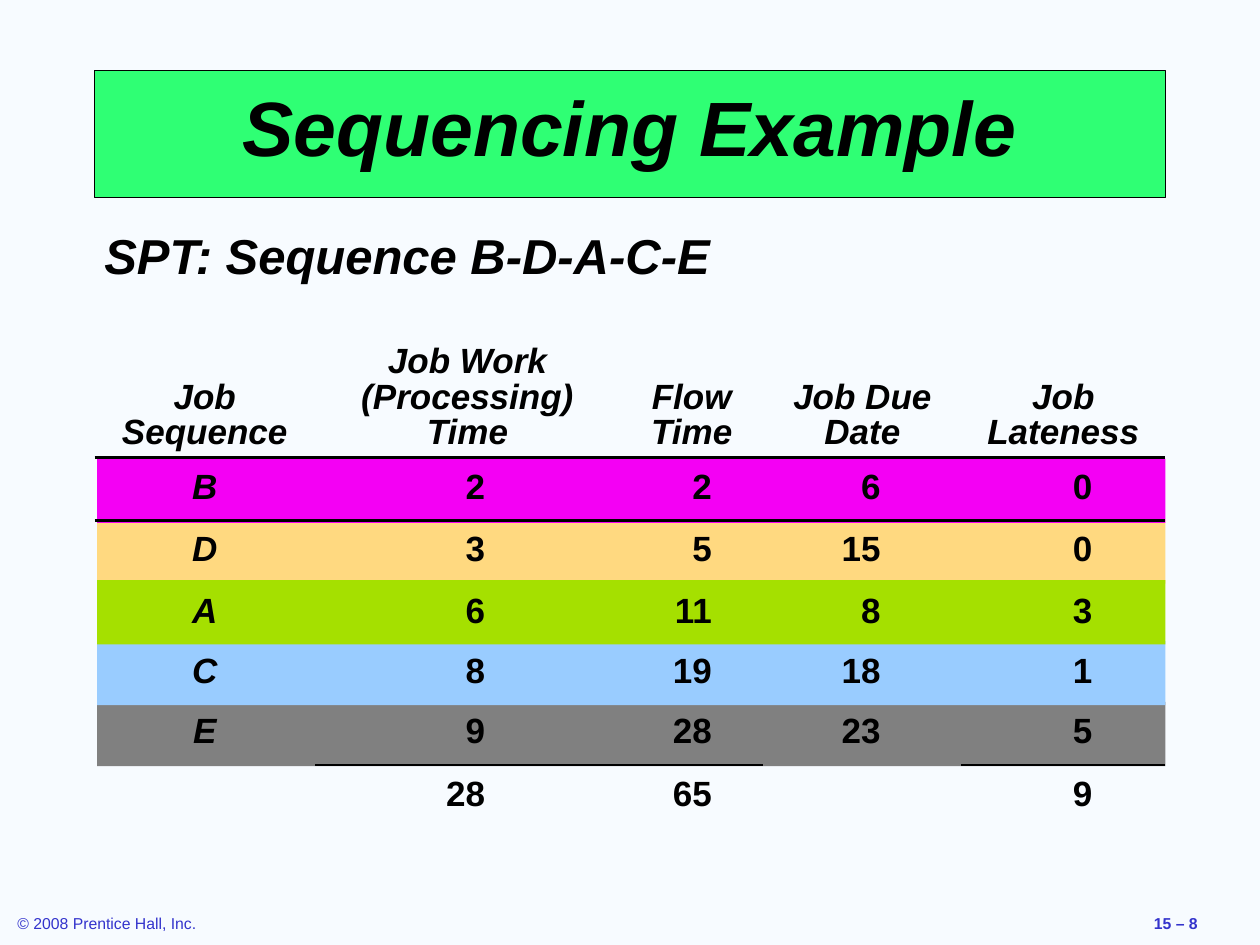
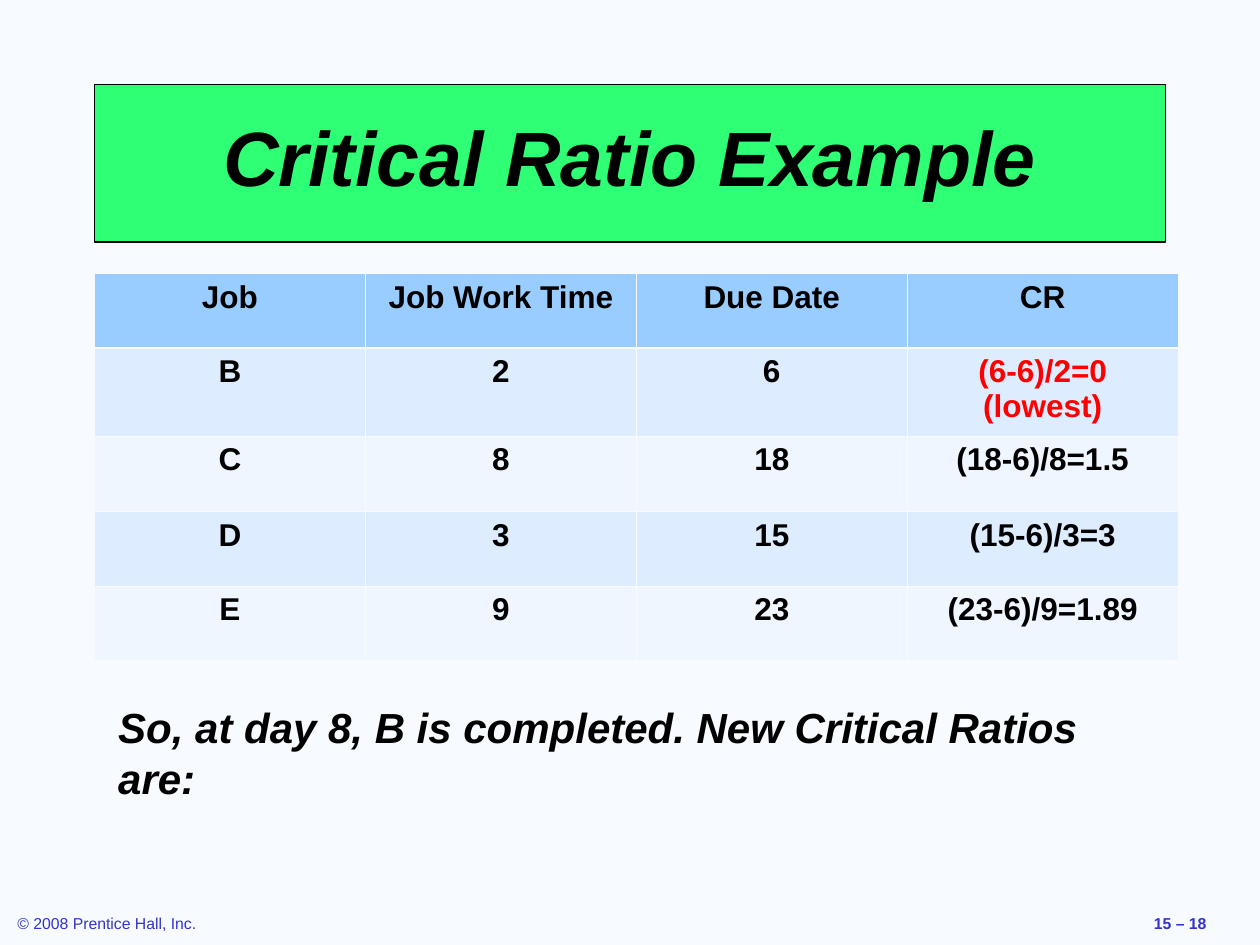
from pptx import Presentation
from pptx.dml.color import RGBColor
from pptx.enum.shapes import MSO_SHAPE
from pptx.enum.text import MSO_ANCHOR, MSO_AUTO_SIZE, PP_ALIGN
from pptx.oxml import parse_xml
from pptx.oxml.ns import nsdecls
from pptx.util import Pt

BACKGROUND = RGBColor(0xF7, 0xFB, 0xFF)
BLACK = RGBColor(0x00, 0x00, 0x00)
RED = RGBColor(0xFF, 0x00, 0x00)
FOOTER_BLUE = RGBColor(0x33, 0x33, 0xCC)
TITLE_GREEN = RGBColor(0x2F, 0xFF, 0x74)
MAGENTA = RGBColor(0xF4, 0x00, 0xF4)
TAN = RGBColor(0xFF, 0xD9, 0x80)
LIME = RGBColor(0xA5, 0xE0, 0x00)
SKY_BLUE = RGBColor(0x99, 0xCC, 0xFF)
GREY = RGBColor(0x80, 0x80, 0x80)
BAND_DARK = RGBColor(0xDE, 0xEC, 0xFF)
BAND_LIGHT = RGBColor(0xEF, 0xF6, 0xFF)

FONT = "Arial"
LEFT = 54
TITLE_WIDTH = 612
NO_STYLE_NO_GRID = "{2D5ABB26-0587-4C30-8999-92F81FD0307C}"
TITLE_ONLY_LAYOUT = 5

SPT_SEQUENCE = "BDACE"
# Listed from back to front, because neighbouring bands overlap slightly
BAND_COLOURS = {"E": GREY, "D": TAN, "C": SKY_BLUE, "A": LIME, "B": MAGENTA}
SPT_ROWS = [
    ["Job Sequence", "Job Work (Processing) Time", "Flow Time", "Job Due Date", "Job Lateness"],
    ["B", "2", "2", "6", "0"],
    ["D", "3", "5", "15", "0"],
    ["A", "6", "11", "8", "3"],
    ["C", "8", "19", "18", "1"],
    ["E", "9", "28", "23", "5"],
    ["", "28", "65", "", "9"],
]
SPT_COLUMN_WIDTHS = [126, 174.24, 82.08, 113.04, 116.64]
SPT_ROW_HEIGHTS = [72, 36, 35.28, 35.28, 33.12, 36, 35.28]
# Distance from a column's left edge to the right edge of its figures
FIGURE_EDGES = [None, 97.2, 52.56, 66.96, 74.88]

RATIO_ROWS = [
    ["Job", "Job Work Time", "Due Date", "CR"],
    ["B", "2", "6", "(6-6)/2=0 (lowest)"],
    ["C", "8", "18", "(18-6)/8=1.5"],
    ["D", "3", "15", "(15-6)/3=3"],
    ["E", "9", "23", "(23-6)/9=1.89"],
]
RATIO_COLUMN_WIDTHS = [154.8] * 4
RATIO_ROW_HEIGHTS = [42.48, 50.4, 43.2, 42.48, 42.48]


def format_paragraph(paragraph, size, colour=BLACK, bold=True, italic=False,
                     alignment=PP_ALIGN.LEFT, line_spacing=None):
    paragraph.alignment = alignment
    if line_spacing:
        paragraph.line_spacing = line_spacing
    font = paragraph.font
    font.name = FONT
    font.size = Pt(size)
    font.bold = bold
    font.italic = italic
    font.color.rgb = colour


def add_text(slide, text, left, top, width, height, size, **style):
    box = slide.shapes.add_textbox(Pt(left), Pt(top), Pt(width), Pt(height))
    box.text_frame.word_wrap = True
    box.text_frame.text = text
    format_paragraph(box.text_frame.paragraphs[0], size, **style)


def add_titled_slide(presentation, title_text, top, height, line_spacing, page):
    """Add a slide with its framed title and the two footers."""
    slide = presentation.slides.add_slide(presentation.slide_layouts[TITLE_ONLY_LAYOUT])
    title = slide.shapes.title
    title.left, title.top = Pt(LEFT), Pt(top)
    title.width, title.height = Pt(TITLE_WIDTH), Pt(height)
    title.fill.solid()
    title.fill.fore_color.rgb = TITLE_GREEN
    title.line.color.rgb = BLACK
    title.line.width = Pt(0.75)
    frame = title.text_frame
    frame.text = title_text
    frame.auto_size = MSO_AUTO_SIZE.NONE
    frame.vertical_anchor = MSO_ANCHOR.MIDDLE
    format_paragraph(frame.paragraphs[0], 44, italic=True,
                     alignment=PP_ALIGN.CENTER, line_spacing=line_spacing)
    add_text(slide, "© 2008 Prentice Hall, Inc.", 2.88, 518.4, 125, 18, 9,
             colour=FOOTER_BLUE, bold=False)
    add_text(slide, f"15 – {page}", 652.32, 518.4, 67, 18, 9, colour=FOOTER_BLUE)
    return slide


def add_plain_table(slide, rows, top, column_widths, row_heights):
    """Add a table filled with text and free of any table style."""
    frame = slide.shapes.add_table(len(rows), len(column_widths), Pt(LEFT), Pt(top),
                                   Pt(sum(column_widths)), Pt(sum(row_heights)))
    table = frame.table
    table.first_row = table.horz_banding = False
    table._tbl.tblPr[0].text = NO_STYLE_NO_GRID
    for column, width in zip(table.columns, column_widths):
        column.width = Pt(width)
    for row, height, texts in zip(table.rows, row_heights, rows):
        row.height = Pt(height)
        for cell, text in zip(row.cells, texts):
            cell.text = text
    return table


def add_border(cell, side, colour, width):
    """Draw one side of a cell: L, R, T or B, called in that order."""
    cell._tc.get_or_add_tcPr().append(parse_xml(
        f'<a:ln{side} {nsdecls("a")} w="{int(Pt(width))}"><a:solidFill>'
        f'<a:srgbClr val="{colour}"/></a:solidFill></a:ln{side}>'))


def add_job_bands(slide):
    bands = slide.shapes.add_group_shape()
    for job, colour in BAND_COLOURS.items():
        top = 262.08 + SPT_SEQUENCE.index(job) * 34.74
        band = bands.shapes.add_shape(MSO_SHAPE.RECTANGLE, Pt(55.44), Pt(top),
                                      Pt(610.56), Pt(36.72))
        band.shadow.inherit = False
        band.fill.solid()
        band.fill.fore_color.rgb = colour
        band.line.fill.background()


def add_spt_table(slide):
    table = add_plain_table(slide, SPT_ROWS, 189.36, SPT_COLUMN_WIDTHS, SPT_ROW_HEIGHTS)
    total_row = len(SPT_ROWS) - 1
    for row_index, row in enumerate(table.rows):
        for column_index, cell in enumerate(row.cells):
            is_header = row_index == 0
            is_figure = not is_header and column_index > 0
            cell.vertical_anchor = MSO_ANCHOR.BOTTOM if is_header else MSO_ANCHOR.MIDDLE
            if is_figure:
                cell.margin_right = Pt(SPT_COLUMN_WIDTHS[column_index]
                                       - FIGURE_EDGES[column_index])
            format_paragraph(cell.text_frame.paragraphs[0], 20, italic=not is_figure,
                             alignment=PP_ALIGN.RIGHT if is_figure else PP_ALIGN.CENTER,
                             line_spacing=0.9)
            has_total = SPT_ROWS[total_row][column_index] != ""
            if row_index < 2:
                add_border(cell, "B" if is_header else "T", BLACK, 1.47)
            elif row_index >= total_row - 1 and has_total:
                add_border(cell, "T" if row_index == total_row else "B", BLACK, 1.08)
            cell.fill.background()


def add_ratio_table(slide):
    table = add_plain_table(slide, RATIO_ROWS, 156.24, RATIO_COLUMN_WIDTHS, RATIO_ROW_HEIGHTS)
    for row_index, row in enumerate(table.rows):
        if row_index == 0:
            fill = SKY_BLUE
        else:
            fill = BAND_DARK if row_index % 2 else BAND_LIGHT
        heavy_side = {0: "B", 1: "T"}.get(row_index)
        for cell in row.cells:
            colour = RED if "lowest" in cell.text else BLACK
            format_paragraph(cell.text_frame.paragraphs[0], 18, colour=colour,
                             alignment=PP_ALIGN.CENTER)
            for side in "LRTB":
                add_border(cell, side, BACKGROUND, 1.47 if side == heavy_side else 0.45)
            cell.fill.solid()
            cell.fill.fore_color.rgb = fill


def main():
    presentation = Presentation()
    presentation.slide_width, presentation.slide_height = Pt(720), Pt(540)
    background = presentation.slide_master.background.fill
    background.solid()
    background.fore_color.rgb = BACKGROUND

    slide = add_titled_slide(presentation, "Sequencing Example", 40.32, 72.72, 0.8, 8)
    add_job_bands(slide)
    add_spt_table(slide)
    add_text(slide, "SPT: Sequence B-D-A-C-E", 52.56, 125.28, 363, 41, 28, italic=True)

    slide = add_titled_slide(presentation, "Critical Ratio Example", 48.24, 90, 0.85, 18)
    add_ratio_table(slide)
    add_text(slide, "So, at day 8, B is completed. New Critical Ratios are:",
             60.48, 397.44, 596, 65, 24, italic=True)

    presentation.save("out.pptx")


if __name__ == "__main__":
    main()
